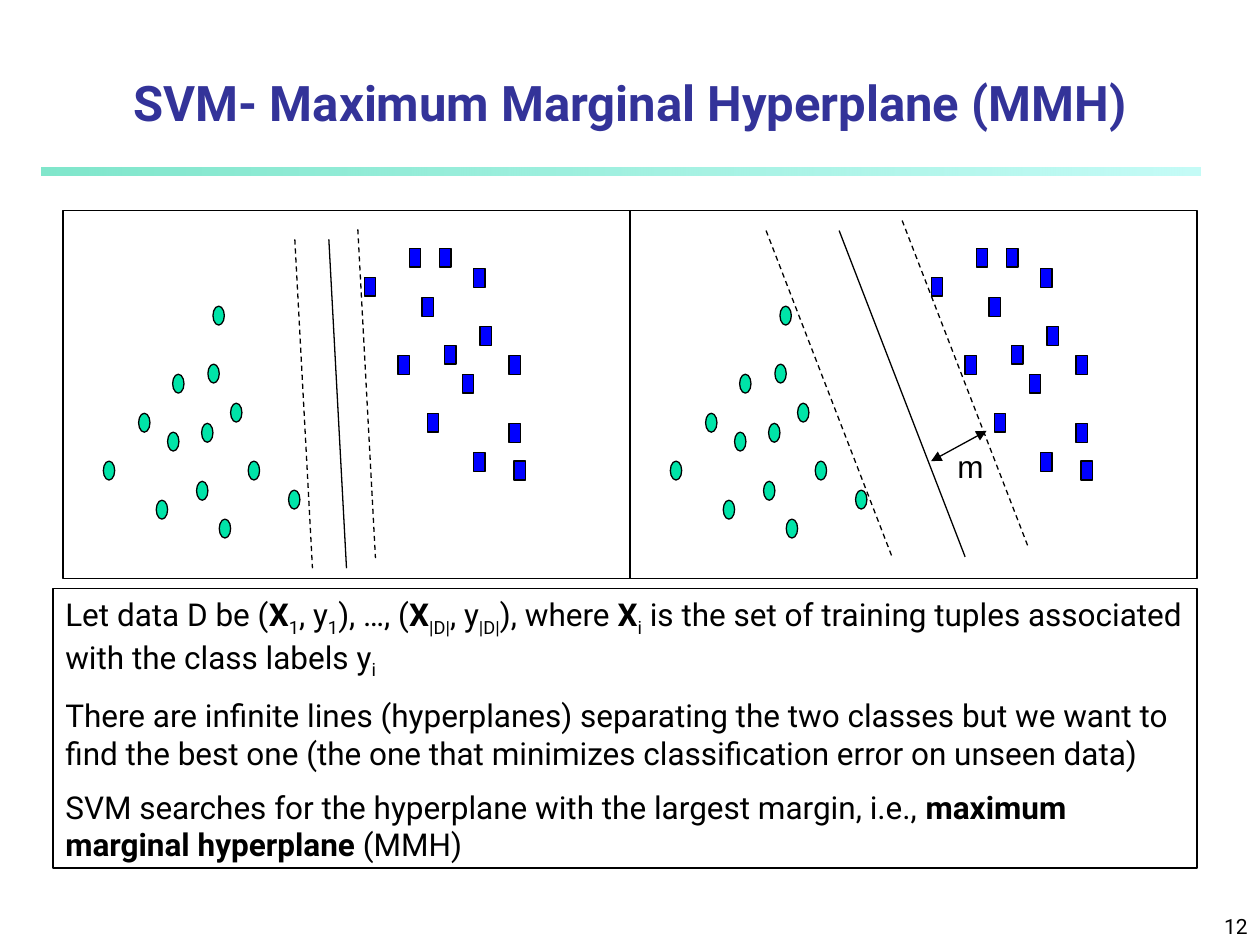
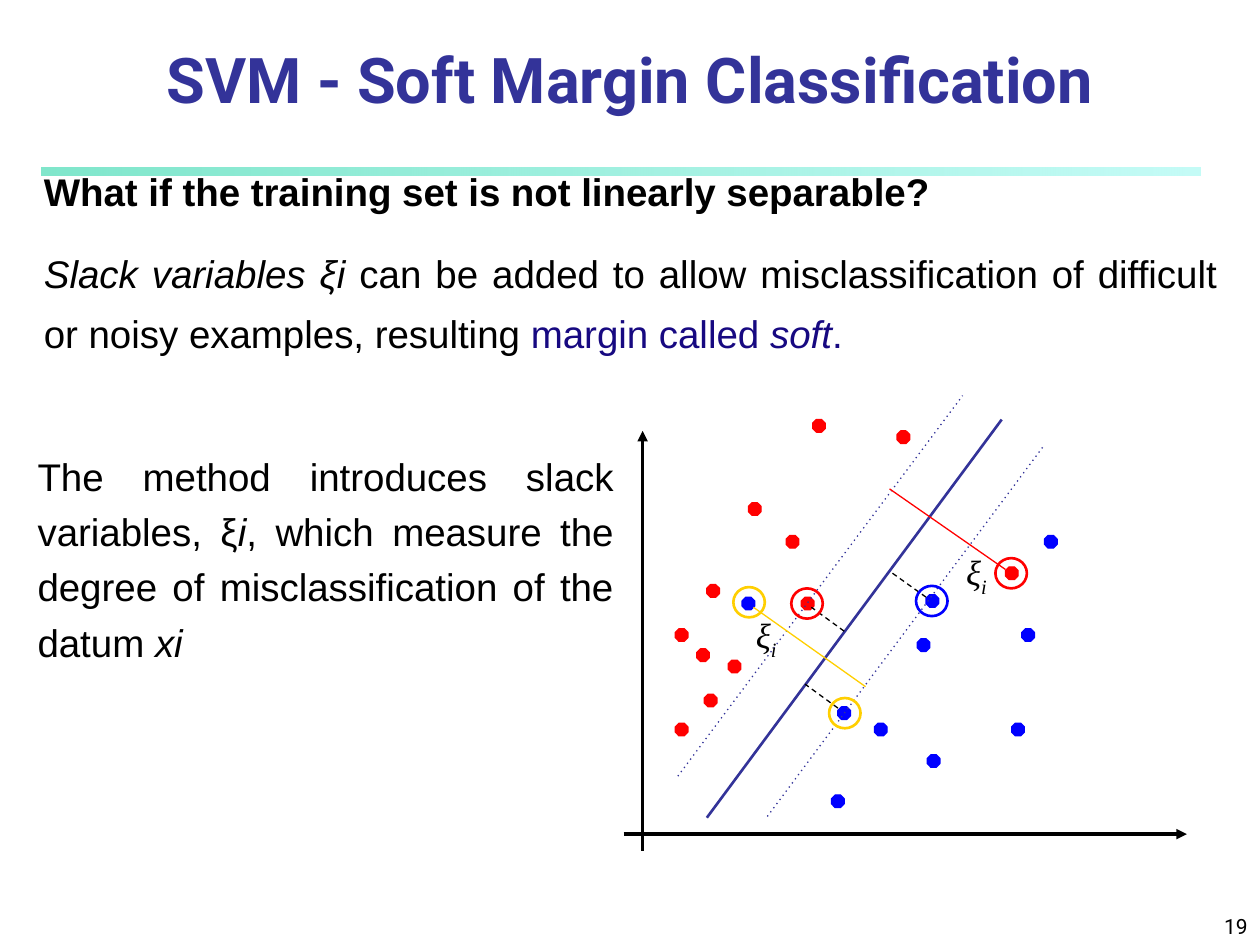
from lxml import etree
from pptx import Presentation
from pptx import util as u
from pptx.dml.color import RGBColor
from pptx.enum import shapes, text
from pptx.oxml.ns import qn

COLORS = {
    "title": "333399", "ink": "000000", "band_start": "00CE98",
    "band_end": "8FF9EF", "green": "00E4A8", "blue": "0000FF",
    "red": "FF0000", "yellow": "FFCF01", "accent": "170981",
}
SHAPE = shapes.MSO_SHAPE
ALIGN = text.PP_ALIGN

# Panels of slide 1: lefts and shared points, relative to a panel's left edge
PANEL_LEFTS = (0.5, 5)
PANEL_TOP, PANEL_WIDTH, PANEL_HEIGHT = 1.67, 4.5, 2.92
GREEN_POINTS = [
    (0.74, 3.97), (0.83, 3.43), (0.32, 3.66), (0.6, 3.28), (1.06, 3.82),
    (0.87, 2.97), (1.1, 3.36), (1.15, 2.89), (1.33, 3.2), (1.47, 3.66),
    (1.24, 4.12), (1.79, 3.89), (1.19, 2.43),
]
BLUE_POINTS = [
    (2.66, 2.82), (2.39, 2.2), (2.75, 1.97), (2.89, 3.28), (2.85, 2.36),
    (3.03, 2.74), (2.99, 1.97), (3.26, 2.13), (3.17, 2.97), (3.31, 2.59),
    (3.26, 3.59), (3.54, 2.82), (3.54, 3.36), (3.58, 3.66),
]
# Each panel: step from line start to end, then (start, dash) per line
NARROW_MARGIN = ((0.14, 2.61), [((2.34, 1.82), "dash"), ((1.84, 1.9), "dash"),
                                ((2.11, 1.9), None)])
WIDE_MARGIN = ((1, 2.59), [((1.08, 1.83), "dash"), ((2.16, 1.75), "dash"),
                           ((1.66, 1.83), None)])

# Points of slide 2
SOFT_POINTS = {
    "red": [
        (6.24, 4.25), (5.61, 4.64), (5.78, 5.24), (5.36, 5.74), (5.94, 3.99),
        (5.36, 4.99), (5.53, 5.15), (6.36, 4.74), (6.45, 3.33), (7.12, 3.42),
        (5.59, 5.51), (7.98, 4.5),
    ],
    "blue": [
        (7.35, 4.72), (6.94, 5.74), (8.03, 5.74), (6.6, 6.31), (7.28, 5.07),
        (6.65, 5.61), (7.36, 5.99), (8.11, 4.99), (8.29, 4.25), (5.89, 4.74),
    ],
}
RINGS = [
    (6.28, 4.67, "red"), (6.58, 5.54, "yellow"), (7.27, 4.65, "blue"),
    (7.9, 4.43, "red"), (5.82, 4.66, "yellow"),
]


def rgb(name):
    return RGBColor.from_string(COLORS[name])


def add_figure(slide, kind, box, fill=None, line=None, width=0.75):
    """Add a preset shape; box is left, top, width, height in inches."""
    shape = slide.shapes.add_shape(kind, *map(u.Inches, box))
    shape.shadow.inherit = False
    if fill:
        shape.fill.solid()
        shape.fill.fore_color.rgb = rgb(fill)
    else:
        shape.fill.background()
    if line:
        shape.line.color.rgb = rgb(line)
        shape.line.width = u.Pt(width)
    else:
        shape.line.fill.background()
    return shape


def add_line(slide, start, end, color="ink", width=0.75, dash=None, arrows=()):
    """Add a line; arrows may hold headEnd and tailEnd, in that order."""
    connector = slide.shapes.add_connector(
        shapes.MSO_CONNECTOR.STRAIGHT, *map(u.Inches, (*start, *end)))
    connector.line.color.rgb = rgb(color)
    connector.line.width = u.Pt(width)
    properties = connector._element.spPr
    outline = properties.find(qn("a:ln"))
    if dash:
        etree.SubElement(outline, qn("a:prstDash"), val=dash)
    for arrow in arrows:
        etree.SubElement(outline, qn("a:" + arrow), type="triangle")
    etree.SubElement(properties, qn("a:effectLst"))


def write_paragraph(paragraph, runs, size, font="Roboto", align=ALIGN.LEFT,
                    before=0, spacing=None):
    """Write runs of (text, marks, color); marks: b bold, i italic, s subscript."""
    paragraph.alignment = align
    paragraph.space_before = u.Pt(before)
    if spacing:
        paragraph.line_spacing = spacing
    for words, marks, color in runs:
        run = paragraph.add_run()
        run.text = words
        run.font.name = font
        run.font.size = u.Pt(size)
        run.font.bold = "b" in marks
        run.font.italic = "i" in marks
        run.font.color.rgb = rgb(color)
        if "s" in marks:
            run._r.get_or_add_rPr().set("baseline", "-25000")


def plain(words, marks="", color="ink"):
    return words, marks, color


def fill_text(shape, paragraphs, anchor=text.MSO_ANCHOR.TOP):
    """Fill a shape with paragraphs, each a dict for write_paragraph."""
    frame = shape.text_frame
    frame.word_wrap = True
    frame.vertical_anchor = anchor
    for index, settings in enumerate(paragraphs):
        paragraph = frame.add_paragraph() if index else frame.paragraphs[0]
        write_paragraph(paragraph, **settings)


def add_text(slide, box, paragraphs, anchor=text.MSO_ANCHOR.TOP):
    fill_text(slide.shapes.add_textbox(*map(u.Inches, box)), paragraphs, anchor)


def add_base_slide(presentation, title, title_box, title_size, number):
    """Add a blank slide with the shared band, page number and title."""
    slide = presentation.slides.add_slide(presentation.slide_layouts[6])
    band = add_figure(slide, SHAPE.RECTANGLE, (0.33, 1.33, 9.2, 0.06))
    band.fill.gradient()
    band.fill.gradient_angle = 0
    for stop, color in zip(band.fill.gradient_stops, ("band_start", "band_end")):
        stop.color.rgb = rgb(color)
    for color, alpha in zip(band._element.spPr.iter(qn("a:srgbClr")), (50, 52)):
        etree.SubElement(color, qn("a:alpha"), val=str(alpha * 1000))
    bottom = text.MSO_ANCHOR.BOTTOM
    add_text(slide, (7.92, 7.08, 2.08, 0.42),
             [dict(runs=[plain(number)], size=12, align=ALIGN.RIGHT)], bottom)
    add_text(slide, title_box,
             [dict(runs=[plain(title, "b", "title")], size=title_size,
                   align=ALIGN.CENTER)], bottom)
    return slide


def add_panel(slide, left, margin):
    """Draw one framed scatter of two classes with its separating lines."""
    for kind, color, points in ((SHAPE.OVAL, "green", GREEN_POINTS),
                                (SHAPE.RECTANGLE, "blue", BLUE_POINTS)):
        for x, y in points:
            add_figure(slide, kind, (left + x, y, 0.09, 0.15), color, "ink")
    add_figure(slide, SHAPE.RECTANGLE,
               (left, PANEL_TOP, PANEL_WIDTH, PANEL_HEIGHT), line="ink")
    (run, drop), lines = margin
    for (x, y), dash in lines:
        add_line(slide, (left + x, y), (left + x + run, y + drop), dash=dash)


def build_hyperplane_slide(presentation):
    slide = add_base_slide(presentation, "SVM- Maximum Marginal Hyperplane (MMH)",
                           (0, 0.42, 10, 0.67), 28, "12")
    for left, margin in zip(PANEL_LEFTS, (NARROW_MARGIN, WIDE_MARGIN)):
        add_panel(slide, left, margin)

    # Margin width
    add_line(slide, (7.39, 3.66), (7.83, 3.42), arrows=("headEnd", "tailEnd"))
    add_text(slide, (7.5, 3.5, 0.58, 0.4),
             [dict(runs=[plain("m")], size=18, font="Arial")])

    # Explanation
    definition = [
        plain("Let data D be ("), plain("X", "b"), plain("1", "s"),
        plain(", y"), plain("1", "s"), plain("), …, ("), plain("X", "b"),
        plain("|D|", "s"), plain(", y"), plain("|D|", "s"),
        plain("), where "), plain("X", "b"), plain("i", "s"),
        plain(" is the set of training tuples associated with the class labels y"),
        plain("i", "s"),
    ]
    best_line = [plain(
        "There are infinite lines (hyperplanes) separating the two classes but we "
        "want to find the best one (the one that minimizes classification error on "
        "unseen data)")]
    search = [
        plain("SVM searches for the hyperplane with the largest margin, i.e., "),
        plain("maximum marginal hyperplane", "b"), plain(" (MMH)"),
    ]
    box = add_figure(slide, SHAPE.RECTANGLE, (0.42, 4.67, 9.08, 2.22), line="ink")
    fill_text(box, [dict(runs=definition, size=18),
                    dict(runs=best_line, size=18, before=9),
                    dict(runs=search, size=18, before=9)])


def build_soft_margin_slide(presentation):
    slide = add_base_slide(presentation, "SVM - Soft Margin Classification",
                           (0.5, 0.25, 9, 0.72), 36, "19")

    # Axes
    for start, end in (((5.1, 6.75), (5.1, 3.42)), ((4.95, 6.62), (9.42, 6.62))):
        add_line(slide, start, end, width=2, arrows=("tailEnd",))

    # Data points
    for color, points in SOFT_POINTS.items():
        for x, y in points:
            add_figure(slide, SHAPE.OCTAGON, (x, y, 0.1, 0.1), color, color)

    # Hyperplane, margins and distances
    add_line(slide, (5.61, 6.49), (7.95, 3.33), "title", 1.5)
    for start, end in (((6.09, 6.48), (8.29, 3.53)), ((5.38, 6.16), (7.64, 3.14))):
        add_line(slide, start, end, "title", dash="dot")
    for start, end in (((7.35, 4.74), (7.07, 4.54)), ((6.65, 5.62), (6.39, 5.43)),
                       ((6.7, 5.01), (6.44, 4.82))):
        add_line(slide, start, end, dash="dash")
    add_line(slide, (7.98, 4.52), (7.06, 3.88), "red")
    add_line(slide, (5.98, 4.82), (6.87, 5.45), "yellow")

    # Slack labels and rings
    for left, top in ((7.57, 4.32), (5.9, 4.82)):
        add_text(slide, (left, top, 0.77, 0.43),
                 [dict(runs=[plain("ξ", "i"), plain("i", "is")], size=20,
                       font="Times New Roman")])
    for left, top, color in RINGS:
        add_figure(slide, SHAPE.OVAL, (left, top, 0.25, 0.24), line=color, width=1.5)

    # Explanation
    body = dict(size=22, font="Arial", align=ALIGN.JUSTIFY)
    question = [plain("What if the training set is not linearly separable?", "b")]
    answer = [
        plain("Slack variables ξi", "i"),
        plain(" can be added to allow misclassification of difficult or noisy "
              "examples, resulting "),
        plain("margin called ", "", "accent"), plain("soft", "i", "accent"),
        plain(".", "", "accent"),
    ]
    method = [
        plain("The method introduces slack variables, ξ"), plain("i", "i"),
        plain(", which measure the degree of misclassification of the datum "),
        plain("xi", "i"),
    ]
    add_text(slide, (0.25, 1.33, 9.51, 1.57),
             [dict(runs=question, spacing=0.9, **body),
              dict(runs=answer, spacing=1.3, before=12, **body)])
    add_text(slide, (0.2, 3.47, 4.77, 1.84), [dict(runs=method, spacing=1.2, **body)])


def main():
    presentation = Presentation()
    presentation.slide_width = u.Inches(10)
    presentation.slide_height = u.Inches(7.5)
    build_hyperplane_slide(presentation)
    build_soft_margin_slide(presentation)
    presentation.save("out.pptx")


if __name__ == "__main__":
    main()
